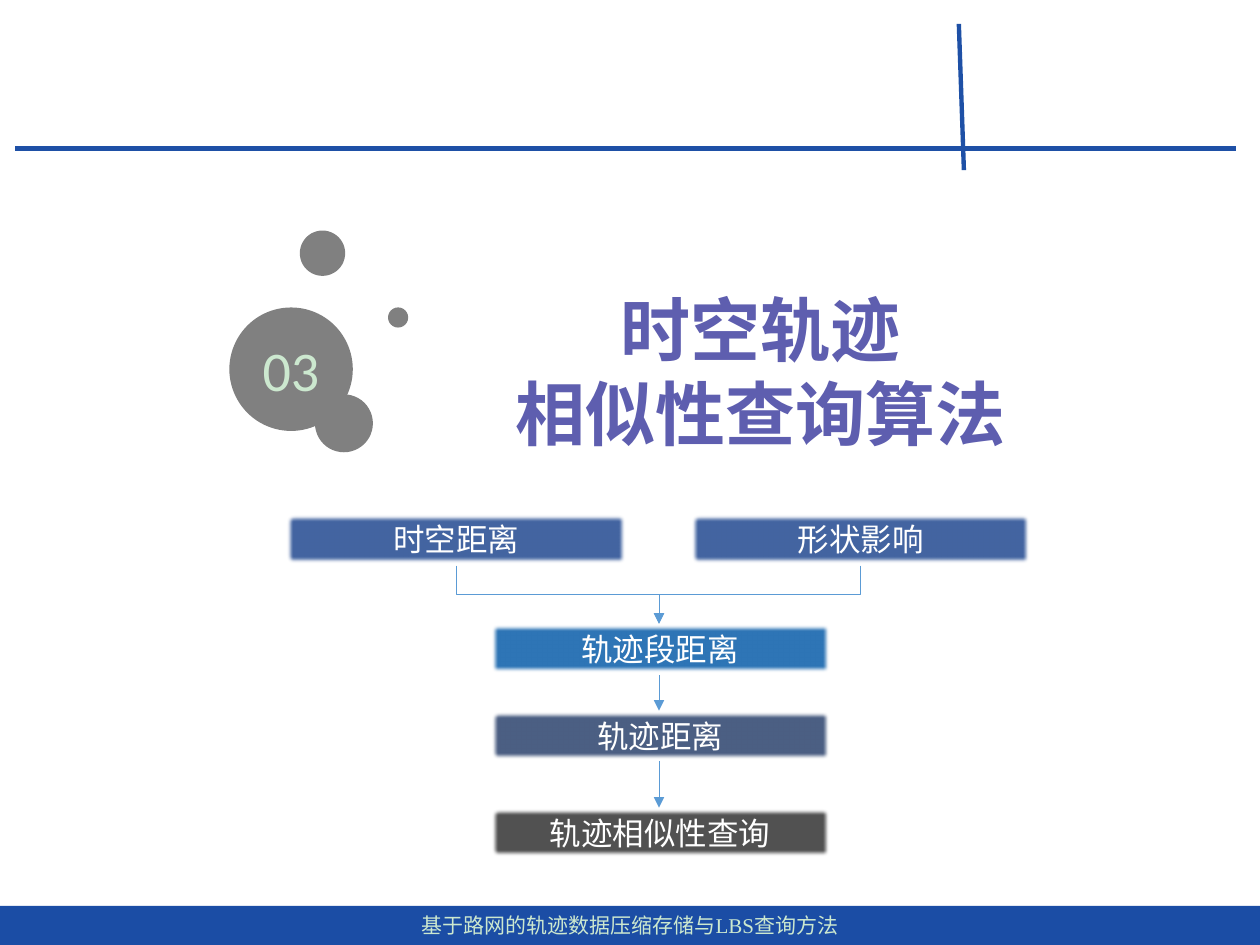
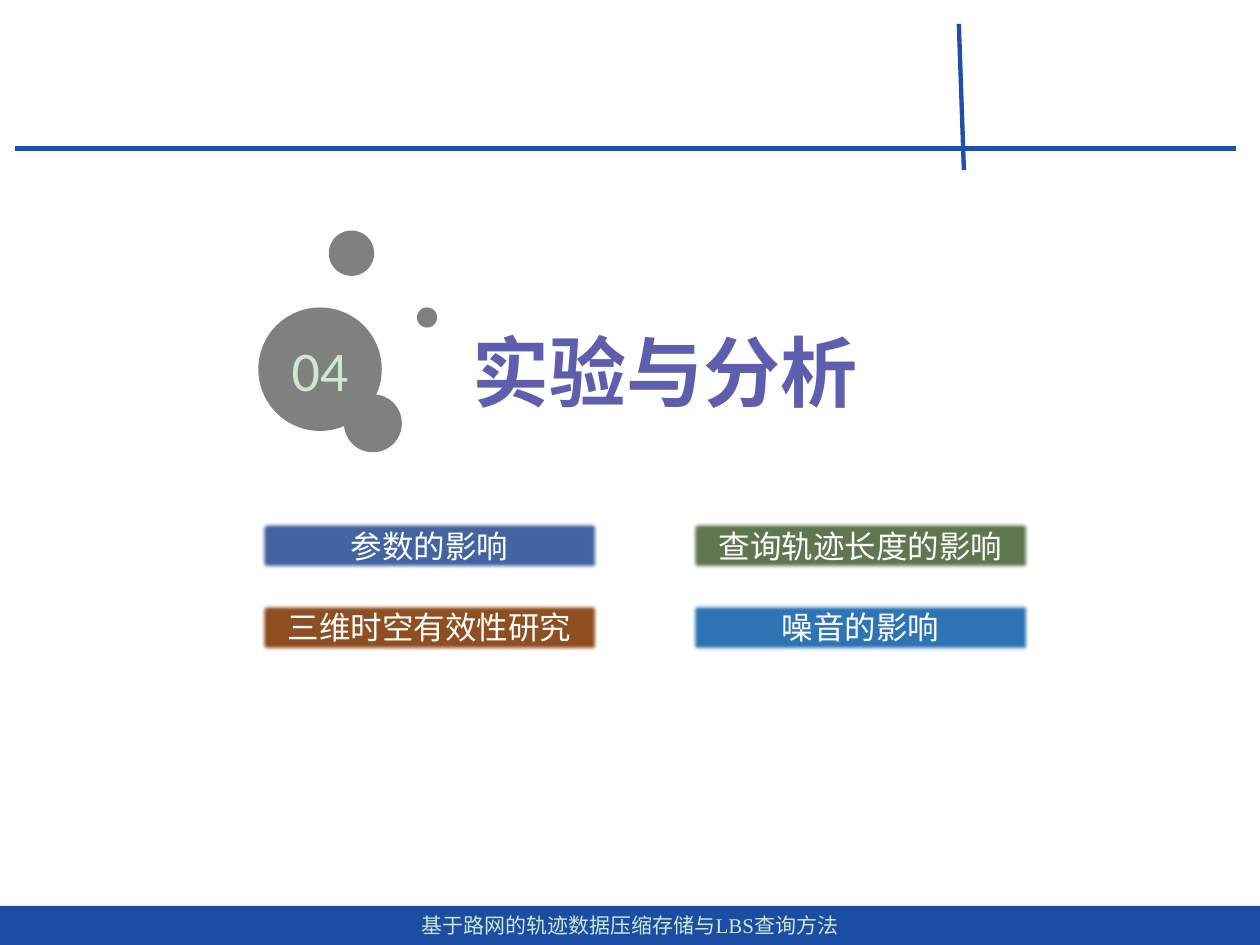
import pptx
import pptx.dml.color
import pptx.enum.shapes
import pptx.enum.text
import pptx.oxml
import pptx.oxml.ns
import pptx.util

Inches = pptx.util.Inches
Pt = pptx.util.Pt
RGBColor = pptx.dml.color.RGBColor
SHAPE = pptx.enum.shapes.MSO_SHAPE
CONNECTOR = pptx.enum.shapes.MSO_CONNECTOR
ANCHOR = pptx.enum.text.MSO_ANCHOR
AUTO_SIZE = pptx.enum.text.MSO_AUTO_SIZE
CENTER = pptx.enum.text.PP_ALIGN.CENTER
qn = pptx.oxml.ns.qn

# Colours and fonts
WHITE = RGBColor(0xFF, 0xFF, 0xFF)
PALE_GREEN = RGBColor(0xCC, 0xE8, 0xCF)
RULE_BLUE = RGBColor(0x1E, 0x50, 0xA6)
BAND_BLUE = RGBColor(0x1B, 0x4D, 0xA5)
TITLE_PURPLE = RGBColor(0x5E, 0x5E, 0xAF)
BUBBLE_GREY = RGBColor(0x80, 0x80, 0x80)
NAVY = RGBColor(0x2F, 0x55, 0x97)
BLUE = RGBColor(0x2E, 0x75, 0xB6)
DARK_NAVY = RGBColor(0x20, 0x38, 0x64)
CHARCOAL = RGBColor(0x40, 0x40, 0x40)
BROWN = RGBColor(0x84, 0x3C, 0x0B)
GREEN = RGBColor(0x38, 0x57, 0x23)
ARROW_BLUE = RGBColor(0x5B, 0x9B, 0xD5)
SANS = "Noto Sans CJK SC"
SERIF = "Times New Roman"

# Topic boxes and the flow between them
BOX_W, BOX_H = 2.7, 0.4
FOOTER = "基于路网的轨迹数据压缩存储与LBS查询方法"
FLOW_X = 5.23
FORK_TOP, FORK_DROP = 4.49, 0.46

# Connectors: kind, start, end, colour, width, rotation, arrowhead
rules = [
    (CONNECTOR.STRAIGHT, (0.12, 1.18), (9.81, 1.18), RULE_BLUE, 2.5, 0, False),
    (CONNECTOR.STRAIGHT, (7.61, 0.19), (7.65, 1.35), RULE_BLUE, 2.5, 0, False),
]
flow = [
    (CONNECTOR.STRAIGHT, (FLOW_X, top), (FLOW_X, bottom), ARROW_BLUE, 0.5, 0, True)
    for top, bottom in [(5.36, 5.64), (6.04, 6.41)]
]
# Each branch is a horizontal elbow turned upright about its centre
for branch_x, side, rotation in [(3.62, 1, 270), (6.83, -1, 90)]:
    mid_x, mid_y = (branch_x + FLOW_X) / 2, FORK_TOP + FORK_DROP / 2
    half_span, half_drop = abs(FLOW_X - branch_x) / 2, side * FORK_DROP / 2
    flow.append((CONNECTOR.ELBOW, (mid_x + half_drop, mid_y - half_span),
                 (mid_x - half_drop, mid_y + half_span), ARROW_BLUE, 0.5, rotation, True))

sections = [
    {
        "number": "03", "bubble_left": 1.82,
        "title": "时空轨迹\n相似性查询算法", "title_size": 40, "title_area": (2.71, 6.65),
        "topics": [
            ("时空距离", 2.27, 4.08, NAVY, 90),
            ("形状影响", 5.48, 4.08, NAVY, 90),
            ("轨迹段距离", 3.89, 4.95, BLUE, 100),
            ("轨迹距离", 3.89, 5.64, DARK_NAVY, 80),
            ("轨迹相似性查询", 3.89, 6.41, CHARCOAL, 90),
        ],
        "flow": flow,
    },
    {
        "number": "04", "bubble_left": 2.05,
        "title": "实验与分析", "title_size": 44, "title_area": (2.31, 5.94),
        "topics": [
            ("参数的影响", 2.06, 4.13, NAVY, 90),
            ("三维时空有效性研究", 2.06, 4.78, BROWN, 90),
            ("查询轨迹长度的影响", 5.48, 4.13, GREEN, 80),
            ("噪音的影响", 5.48, 4.78, BLUE, 100),
        ],
        "flow": [],
    },
]


def write_text(shape, text, *, size, font, color, bold=False, anchor=ANCHOR.MIDDLE,
               line_spacing=None, wrap=True):
    frame = shape.text_frame
    frame.text = text
    frame.word_wrap = wrap
    frame.vertical_anchor = anchor
    for paragraph in frame.paragraphs:
        paragraph.alignment = CENTER
        if line_spacing:
            paragraph.line_spacing = Pt(line_spacing)
        for run in paragraph.runs:
            run.font.size = Pt(size)
            run.font.name = font
            run.font.bold = bold
            run.font.color.rgb = color
            east_asian = pptx.oxml.parse_xml(
                f'<a:ea {pptx.oxml.ns.nsdecls("a")} typeface="{SANS}"/>')
            run.font._element.find(qn("a:latin")).addnext(east_asian)


def add_filled(slide, kind, left, top, width, height, color, opacity=100):
    shape = slide.shapes.add_shape(kind, Inches(left), Inches(top),
                                   Inches(width), Inches(height))
    shape.shadow.inherit = False
    shape.line.fill.background()
    shape.fill.solid()
    shape.fill.fore_color.rgb = color
    if opacity < 100:
        rgb = shape._element.spPr.find(qn("a:solidFill"))[0]
        rgb.append(rgb.makeelement(qn("a:alpha"), {"val": str(opacity * 1000)}))
    return shape


prs = pptx.Presentation()
prs.slide_width, prs.slide_height = Inches(10), Inches(7.5)

for section in sections:
    slide = prs.slides.add_slide(prs.slide_layouts[5])
    slide.background.fill.solid()
    slide.background.fill.fore_color.rgb = WHITE

    # Footer band
    band = add_filled(slide, SHAPE.RECTANGLE, 0, 7.19, 10, 0.31, BAND_BLUE)
    write_text(band, FOOTER, size=12, font=SERIF, color=PALE_GREEN)

    # Section title
    title = slide.shapes.title
    title_left, title_width = section["title_area"]
    title.left, title.top = Inches(title_left), Inches(2.08)
    title.width, title.height = Inches(title_width), Inches(1.72)
    write_text(title, section["title"], size=section["title_size"], font=SANS,
               color=TITLE_PURPLE, bold=True, line_spacing=section["title_size"] * 1.2)

    # Number bubbles: offset from the large one, top, diameter
    for offset, top, diameter in [(0, 2.44, 0.98), (0.68, 3.13, 0.46),
                                  (0.56, 1.83, 0.36), (1.26, 2.44, 0.16)]:
        bubble = add_filled(slide, SHAPE.FLOWCHART_CONNECTOR, section["bubble_left"] + offset,
                            top, diameter, diameter, BUBBLE_GREY)
        if offset == 0:
            write_text(bubble, section["number"], size=32, font="Calibri",
                       color=PALE_GREEN, wrap=False)

    # Topic boxes with soft edges
    for topic, left, top, color, opacity in section["topics"]:
        box = add_filled(slide, SHAPE.RECTANGLE, left, top, BOX_W, BOX_H, color, opacity)
        effects = box._element.spPr.find(qn("a:effectLst"))
        effects.append(effects.makeelement(qn("a:softEdge"), {"rad": str(Pt(2.5))}))
        write_text(box, topic, size=18, font=SERIF, color=WHITE, anchor=ANCHOR.TOP)
        box.text_frame.auto_size = AUTO_SIZE.SHAPE_TO_FIT_TEXT

    # Header rules and flow arrows
    for kind, start, end, color, width, rotation, arrow in rules + section["flow"]:
        link = slide.shapes.add_connector(kind, *map(Inches, start + end))
        link.line.color.rgb = color
        link.line.width = Pt(width)
        properties = link._element.spPr
        if rotation:
            properties.find(qn("a:xfrm")).set("rot", str(rotation * 60000))
        if arrow:
            outline = properties.find(qn("a:ln"))
            outline.append(outline.makeelement(qn("a:tailEnd"), {"type": "triangle"}))
        properties.append(properties.makeelement(qn("a:effectLst"), {}))

prs.save("out.pptx")
